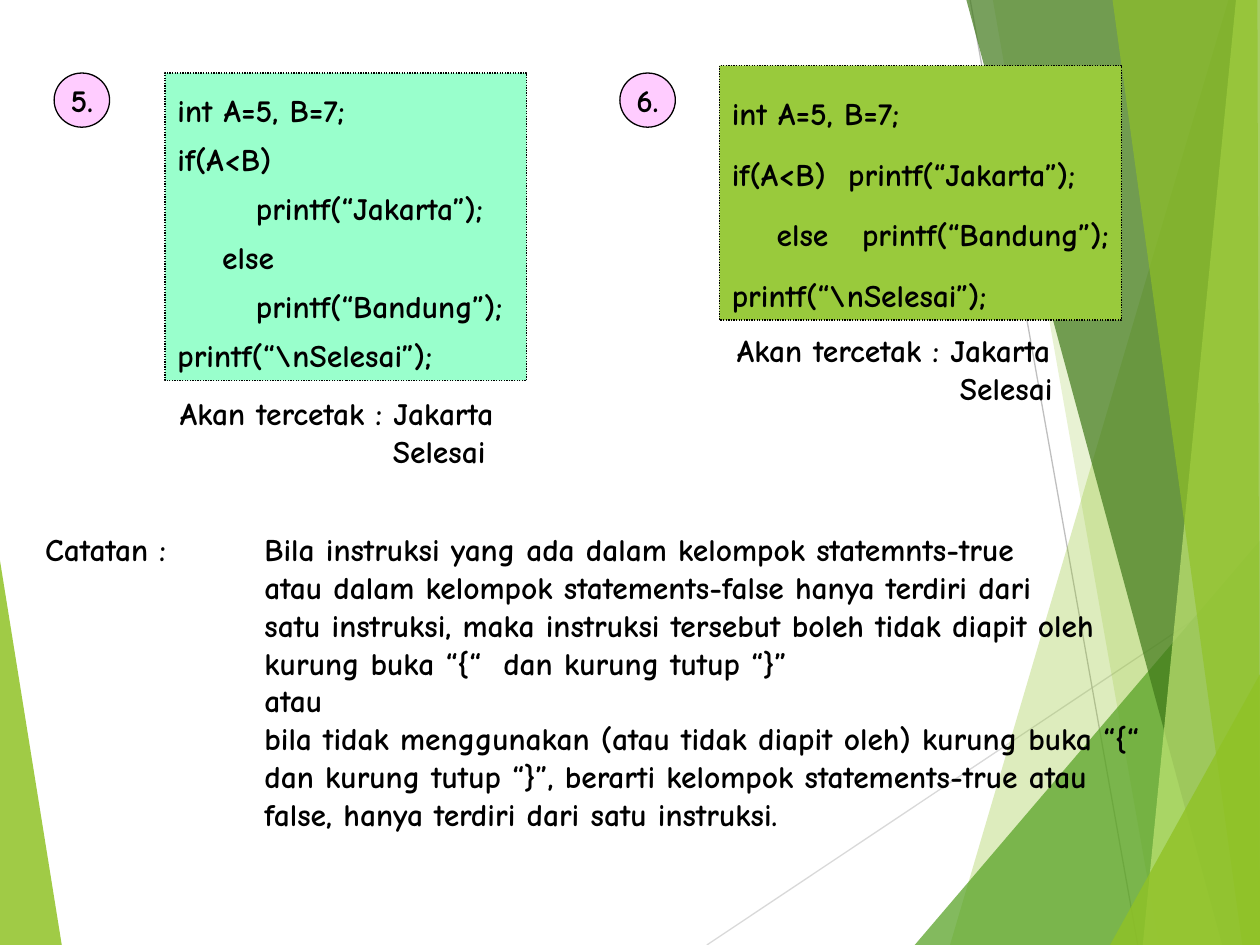
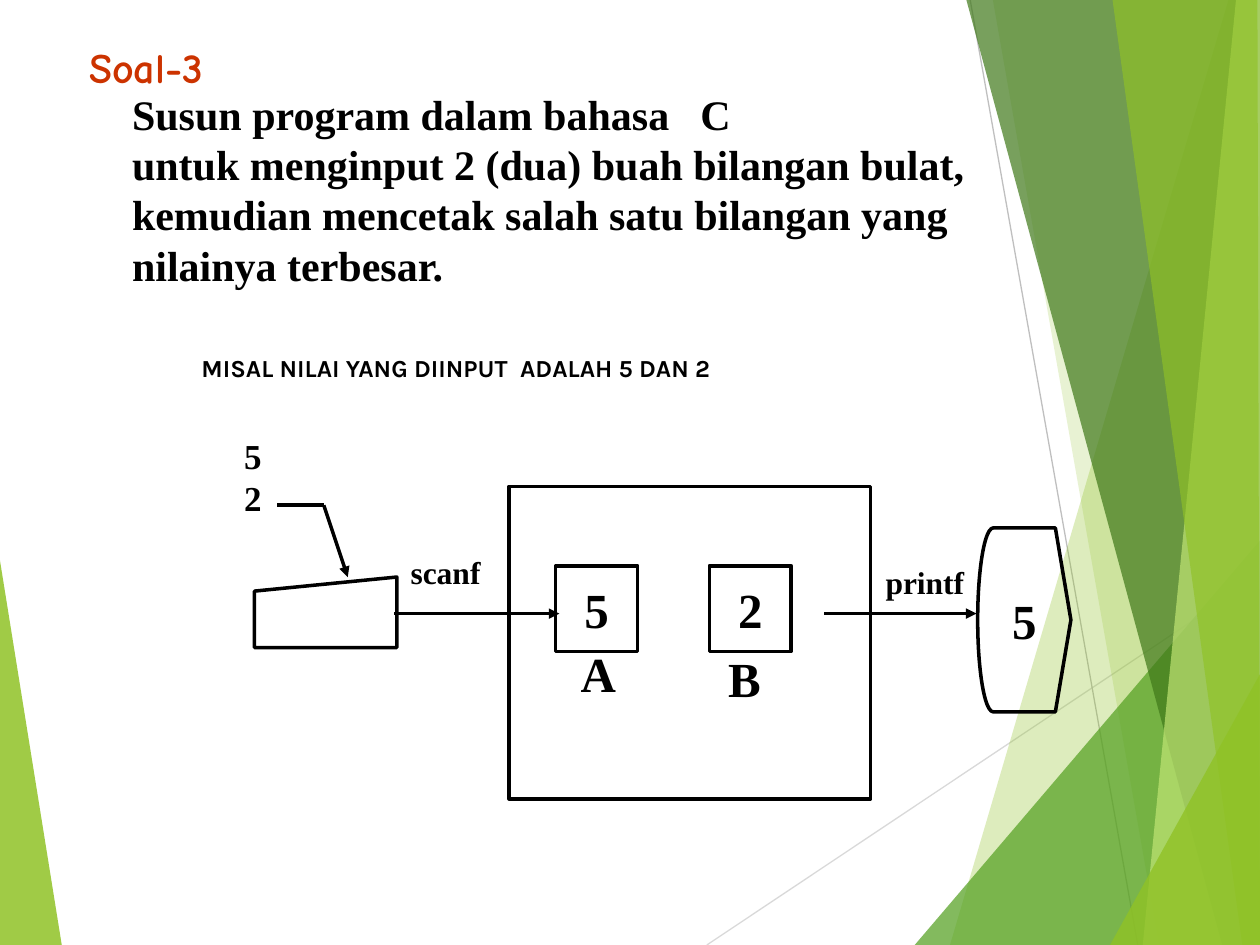
from dataclasses import dataclass

from lxml import etree
from pptx import Presentation
from pptx.dml.color import RGBColor
from pptx.enum import dml, shapes, text
from pptx.oxml import ns
from pptx.util import Inches, Pt


@dataclass(frozen=True)
class Theme:
    ink: str = "000000"
    paper: str = "FFFFFF"
    heading: str = "CC3300"
    badge: str = "FFCCFF"
    mint: str = "99FFCC"
    olive: str = "99CA3C"
    lime: str = "90C226"
    leaf: str = "54A021"
    forest: str = "3F7819"
    pale: str = "C0E474"
    light_rule: str = "D9D9D9"
    dark_rule: str = "BFBFBF"
    hand: str = "Comic Neue"
    serif: str = "Times New Roman"
    sans: str = "Karla"
    note: int = 14
    body: int = 18
    values: int = 20
    title: int = 24
    big: int = 28
    thin: float = 0.75
    thick: float = 2


theme = Theme()
kinds = shapes.MSO_SHAPE


def add_block(slide, box, lines=(), kind=None, fill=None, width=theme.thick, font=theme.serif,
              size=theme.body, color=theme.ink, spacing=None, centred=False, wrap=False):
    place = [Inches(value) for value in box]
    if kind is None:
        block = slide.shapes.add_textbox(*place)
    else:
        block = slide.shapes.add_shape(kind, *place)
        block.shadow.inherit = False
        block.line.color.rgb = RGBColor.from_string(theme.ink)
        block.line.width = Pt(width)
        if fill:
            block.fill.solid()
            block.fill.fore_color.rgb = RGBColor.from_string(fill)
        else:
            block.fill.background()
    frame = block.text_frame
    frame.word_wrap = wrap
    frame.vertical_anchor = text.MSO_ANCHOR.MIDDLE if centred else text.MSO_ANCHOR.TOP
    if not centred:
        frame.auto_size = text.MSO_AUTO_SIZE.SHAPE_TO_FIT_TEXT
    for index, line in enumerate(lines):
        paragraph = frame.add_paragraph() if index else frame.paragraphs[0]
        paragraph.text = line
        paragraph.alignment = text.PP_ALIGN.CENTER if centred else text.PP_ALIGN.LEFT
        if spacing:
            paragraph.line_spacing = spacing
        paragraph.font.name = font
        paragraph.font.size = Pt(size)
        paragraph.font.bold = True
        paragraph.font.color.rgb = RGBColor.from_string(color)
    return block


def add_line(slide, ends, color=theme.ink, width=theme.thick, arrow=False):
    line = slide.shapes.add_connector(shapes.MSO_CONNECTOR.STRAIGHT, *[Inches(v) for v in ends])
    line.line.color.rgb = RGBColor.from_string(color)
    line.line.width = Pt(width)
    if arrow:
        etree.SubElement(line.line._get_or_add_ln(), ns.qn("a:tailEnd"), type="triangle")
    etree.SubElement(line._element.spPr, ns.qn("a:effectLst"))


deck = Presentation()
deck.slide_width, deck.slide_height = Inches(10), Inches(7.5)
blank = deck.slide_layouts[6]
for placeholder in list(blank.placeholders):
    placeholder._element.getparent().remove(placeholder._element)
branching = deck.slides.add_slide(blank)

add_line(branching, (5.61, 7.5, 10, 4.57), theme.light_rule, theme.thin)
add_line(branching, (7.7, 0, 9.03, 7.5), theme.dark_rule, theme.thin)
facets = [
    (theme.lime, 85, [(0, 4.45), (0.49, 7.5), (0, 7.5)]),
    (theme.lime, 30, [(9.75, 0), (7.54, 7.5), (10, 7.5), (10, 0)]),
    (theme.lime, 20, [(7.88, 0), (9.2, 7.5), (10, 7.5), (10, 0)]),
    (theme.leaf, 72, [(7.26, 7.5), (10, 4.29), (10, 7.5)]),
    (theme.forest, 70, [(7.67, 0), (9.7, 7.5), (10, 7.5), (10, 0)]),
    (theme.pale, 70, [(9.81, 0), (9.07, 7.5), (10, 7.5), (10, 0)]),
    (theme.lime, 65, [(8.83, 0), (9.86, 7.5), (10, 7.5), (9.98, 0)]),
    (theme.lime, 80, [(8.81, 7.5), (10, 5.35), (10, 7.5)]),
]
for color, opacity, corners in facets:
    points = [(Inches(x), Inches(y)) for x, y in corners]
    outline = branching.shapes.build_freeform(*points[0])
    outline.add_line_segments(points[1:], close=True)
    facet = outline.convert_to_shape()
    facet.shadow.inherit = False
    facet.line.fill.background()
    facet.fill.solid()
    facet.fill.fore_color.rgb = RGBColor.from_string(color)
    tint = facet._element.spPr.find(".//" + ns.qn("a:srgbClr"))
    etree.SubElement(tint, ns.qn("a:alpha"), val=str(opacity * 1000))
for part in list(branching.shapes):
    blank.shapes._spTree.append(part._element)

examples = [
    ("5.", 0.43, (1.31, 0.58, 2.87, 2.44), theme.mint, 1.3,
     ["int A=5, B=7;", "if(A<B)", "       printf(“Jakarta”);", "    else",
      "       printf(“Bandung”);", "printf(“\\nSelesai”);"],
     (1.33, 3.08, 2.72, 0.7), 1.69),
    ("6.", 4.92, (5.71, 0.52, 3.19, 2.02), theme.olive, 1.6,
     ["int A=5, B=7;", "if(A<B)  printf(“Jakarta”);", "    else   printf(“Bandung”);",
      "printf(“\\nSelesai”);"],
     (5.75, 2.58, 2.72, 0.7), 1.77),
]
for number, badge_left, code_box, fill, spacing, code, output_box, indent in examples:
    add_block(branching, (badge_left, 0.58, 0.44, 0.43), [number], kinds.OVAL, theme.badge,
              theme.thin, theme.hand, centred=True)
    listing = add_block(branching, code_box, code, kinds.RECTANGLE, fill, theme.thin,
                        theme.hand, spacing=spacing)
    listing.line.dash_style = dml.MSO_LINE.ROUND_DOT
    output = add_block(branching, output_box, ["Akan tercetak : Jakarta", "Selesai"],
                       font=theme.hand)
    second = output.text_frame.paragraphs[1]._p.get_or_add_pPr()
    second.set("marL", str(Inches(indent)))
    second.set("indent", "0")

add_block(branching, (0.26, 4.16, 1.17, 0.4), ["Catatan :"], font=theme.hand)
add_block(branching, (2, 4.16, 7.15, 2.5), [
    "Bila instruksi yang ada dalam kelompok statemnts-true",
    "atau dalam kelompok statements-false hanya terdiri dari",
    "satu instruksi, maka instruksi tersebut boleh tidak diapit oleh",
    "kurung buka “{“  dan kurung tutup “}”",
    "atau",
    "bila tidak menggunakan (atau tidak diapit oleh) kurung buka “{“",
    "dan kurung tutup “}”, berarti kelompok statements-true atau",
    "false, hanya terdiri dari satu instruksi.",
], font=theme.hand)

exercise = deck.slides.add_slide(blank)
add_block(exercise, (0.61, 0.28, 1.2, 0.5), ["Soal-3"], font=theme.hand, size=theme.title,
          color=theme.heading)
task = add_block(exercise, (0.95, 0.65, 7.33, 1.7), [
    "Susun program dalam bahasa\tC",
    "untuk menginput 2 (dua) buah bilangan bulat,",
    "kemudian mencetak salah satu bilangan yang nilainya terbesar.",
], size=theme.title, wrap=True)
opening = task.text_frame.paragraphs[0]._p.get_or_add_pPr()
stops = etree.Element(ns.qn("a:tabLst"))
etree.SubElement(stops, ns.qn("a:tab"), pos=str(Inches(4.51)), algn="l")
opening.insert(0, stops)
add_block(exercise, (1.5, 2.75, 4.63, 0.34), ["MISAL NILAI YANG DIINPUT  ADALAH 5 DAN 2"],
          font=theme.sans, size=theme.note)

for value, left in (("5", 4.41), ("2", 5.63)):
    add_block(exercise, (left, 4.49, 0.65, 0.68), [value], kinds.RECTANGLE, theme.paper,
              size=theme.big, centred=True)
add_block(exercise, (4.04, 3.86, 2.87, 2.48), kind=kinds.RECTANGLE, centred=True)
add_block(exercise, (2.02, 4.58, 1.13, 0.56), kind=kinds.FLOWCHART_MANUAL_INPUT, centred=True)
screen = add_block(exercise, (7.76, 4.19, 0.74, 1.46), ["5"], kinds.FLOWCHART_DISPLAY,
                   size=theme.big, centred=True)
screen._element.spPr.xfrm.set("flipH", "1")

labels = [
    (["A"], (4.51, 5.06, 0.48, 0.57), theme.big),
    (["B"], (5.68, 5.1, 0.46, 0.57), theme.big),
    (["scanf"], (3.16, 4.34, 0.82, 0.4), theme.body),
    (["printf"], (6.93, 4.42, 0.9, 0.4), theme.body),
    (["5", "2"], (1.84, 3.4, 0.34, 0.77), theme.values),
]
for lines, box, size in labels:
    add_block(exercise, box, lines, size=size)

add_line(exercise, (2.2, 4.01, 2.57, 4.01))
for ends in ((2.57, 4.01, 2.76, 4.58), (3.13, 4.87, 4.44, 4.87), (6.54, 4.87, 7.75, 4.87)):
    add_line(exercise, ends, arrow=True)

deck.save("out.pptx")
